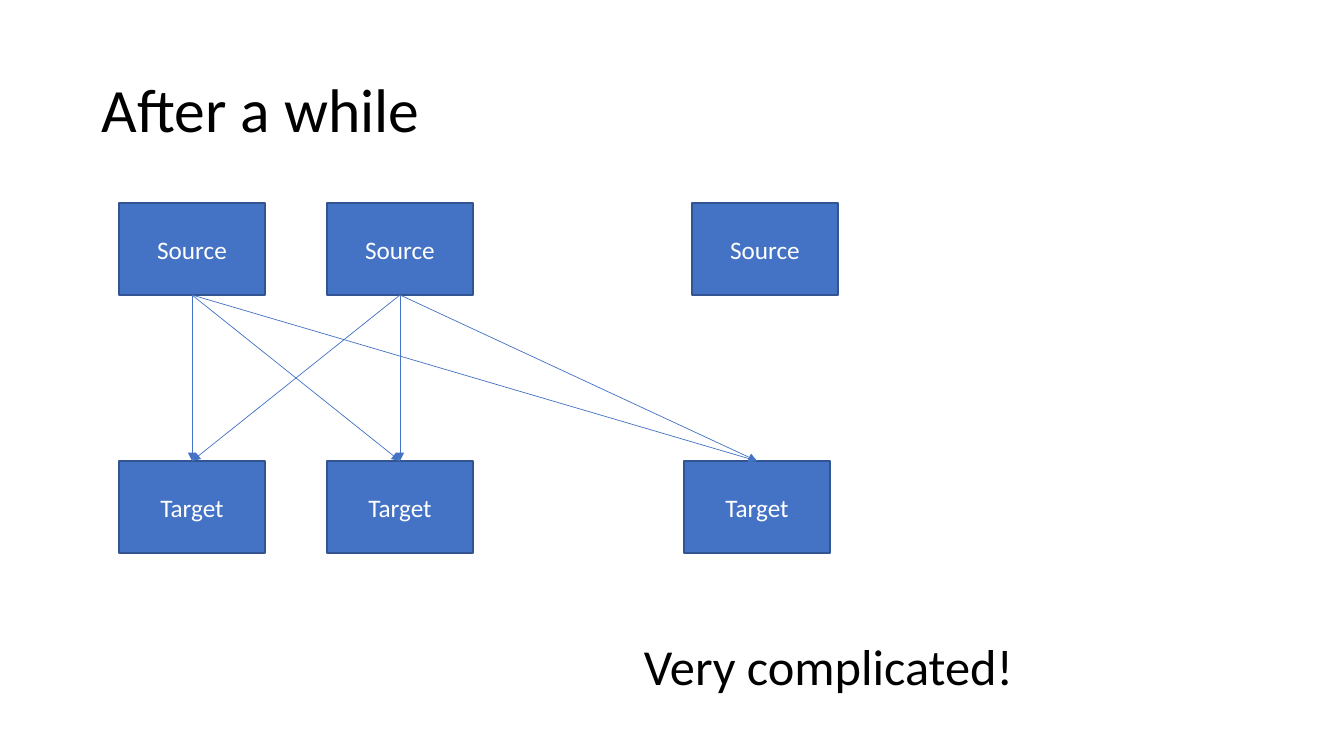
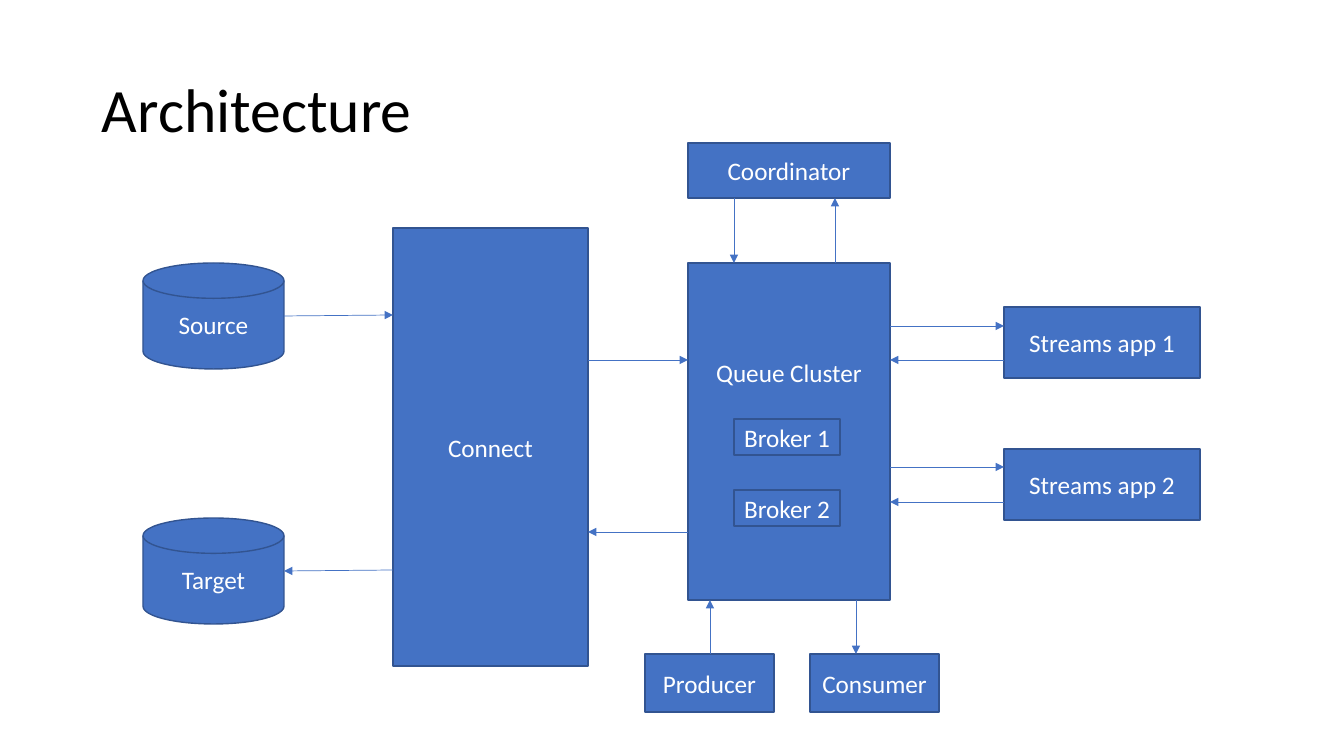
from lxml.etree import SubElement
from pptx import Presentation
from pptx.dml.color import RGBColor
from pptx.enum.shapes import MSO_CONNECTOR, MSO_SHAPE
from pptx.enum.text import MSO_ANCHOR, PP_ALIGN
from pptx.oxml.ns import qn
from pptx.util import Emu, Pt

# Shared style
SLIDE_WIDTH, SLIDE_HEIGHT = 1344, 756
SCALE = 914400 / 100.8
FONT = "Calibri"
BLUE, DARK_BLUE, WHITE, BLACK = "4472C4", "325491", "FFFFFF", "000000"
TITLE_AREA = (92, 40, 1159, 146)

# Slide 1: a row of sources above a row of targets
MESH_TITLE = "After a while"
MESH_NOTE = ("Very complicated!", (634, 630, 448, 72))
MESH_BOX = (146, 92)
SOURCE_TOP, TARGET_TOP = 203, 461
SOURCE_LEFTS = [119, 327, 692]
TARGET_LEFTS = [119, 327, 684]
CONNECTED_SOURCES = 2

# Slide 2: label -> left, top, width, height
ARCHITECTURE_TITLE = "Architecture"
STORES = {
    "Source": (143, 263, 141, 106),
    "Target": (143, 518, 141, 106),
}
CLUSTER = "Queue Cluster"
CLUSTER_BOTTOM_INSET = 123
BLOCKS = {
    "Connect": (393, 228, 195, 438),
    CLUSTER: (688, 263, 202, 337),
    "Coordinator": (688, 143, 202, 55),
    "Streams app 1": (1004, 307, 196, 71),
    "Streams app 2": (1004, 449, 196, 71),
    "Producer": (645, 654, 129, 58),
    "Consumer": (810, 654, 129, 58),
    "Broker 1": (734, 419, 106, 36),
    "Broker 2": (734, 490, 106, 36),
}
# From, to, y at start, y at end
SIDEWAYS_ARROWS = [
    ("Source", "Connect", 316, 315),
    ("Connect", "Target", 570, 571),
    ("Connect", CLUSTER, 360, 360),
    (CLUSTER, "Connect", 532, 532),
    (CLUSTER, "Streams app 1", 326, 326),
    ("Streams app 1", CLUSTER, 360, 360),
    (CLUSTER, "Streams app 2", 467, 467),
    ("Streams app 2", CLUSTER, 502, 502),
]
# From, to, x
UPRIGHT_ARROWS = [
    ("Coordinator", CLUSTER, 734),
    (CLUSTER, "Coordinator", 835),
    ("Producer", CLUSTER, 710),
    (CLUSTER, "Consumer", 856),
]


def px(value):
    return Emu(round(value * SCALE))


def color(hex_string):
    return RGBColor.from_string(hex_string)


def format_text(text_frame, text, size, hex_string, alignment):
    text_frame.text = text
    paragraph = text_frame.paragraphs[0]
    paragraph.alignment = alignment
    font = paragraph.runs[0].font
    font.name, font.size = FONT, Pt(size)
    font.color.rgb = color(hex_string)
    return paragraph


def add_text(slide, text, area, size):
    text_frame = slide.shapes.add_textbox(*map(px, area)).text_frame
    text_frame.word_wrap = True
    format_text(text_frame, text, size, BLACK, PP_ALIGN.LEFT)
    return text_frame


def add_titled_slide(title):
    slide = presentation.slides.add_slide(presentation.slide_layouts[6])
    text_frame = add_text(slide, title, TITLE_AREA, 44)
    text_frame.vertical_anchor = MSO_ANCHOR.MIDDLE
    text_frame.paragraphs[0].line_spacing = 0.9
    return slide


def add_block(slide, label, area, preset=MSO_SHAPE.RECTANGLE):
    shape = slide.shapes.add_shape(preset, *map(px, area))
    shape.shadow.inherit = False
    shape.fill.solid()
    shape.fill.fore_color.rgb = color(BLUE)
    shape.line.color.rgb = color(DARK_BLUE)
    shape.line.width = Pt(1)
    text_frame = shape.text_frame
    text_frame.margin_left = text_frame.margin_right = 0
    text_frame.vertical_anchor = MSO_ANCHOR.MIDDLE
    format_text(text_frame, label, 18, WHITE, PP_ALIGN.CENTER)
    return shape


def add_arrow(slide, start, end):
    connector = slide.shapes.add_connector(
        MSO_CONNECTOR.STRAIGHT, *map(px, start + end))
    connector.line.color.rgb = color(BLUE)
    connector.line.width = Pt(0.5)
    SubElement(connector.line._get_or_add_ln(), qn("a:tailEnd"), type="triangle")
    SubElement(connector._element.spPr, qn("a:effectLst"))


def facing_edges(start, start_size, end, end_size):
    """Give the edges of two spans that face each other along one axis."""
    if start < end:
        return start + start_size, end
    return start, end + end_size


presentation = Presentation()
presentation.slide_width = px(SLIDE_WIDTH)
presentation.slide_height = px(SLIDE_HEIGHT)

# Slide 1
slide = add_titled_slide(MESH_TITLE)
for label, lefts, top in (("Source", SOURCE_LEFTS, SOURCE_TOP),
                          ("Target", TARGET_LEFTS, TARGET_TOP)):
    for left in lefts:
        add_block(slide, label, (left, top, *MESH_BOX))
box_width, box_height = MESH_BOX
for source_left in SOURCE_LEFTS[:CONNECTED_SOURCES]:
    for target_left in TARGET_LEFTS:
        add_arrow(slide,
                  (source_left + box_width / 2, SOURCE_TOP + box_height),
                  (target_left + box_width / 2, TARGET_TOP))
add_text(slide, *MESH_NOTE, 36)

# Slide 2
slide = add_titled_slide(ARCHITECTURE_TITLE)
for label, area in STORES.items():
    add_block(slide, label, area, MSO_SHAPE.FLOWCHART_MAGNETIC_DISK)
for label, area in BLOCKS.items():
    block = add_block(slide, label, area)
    if label == CLUSTER:
        block.text_frame.margin_bottom = px(CLUSTER_BOTTOM_INSET)

areas = {**STORES, **BLOCKS}
for origin, goal, start_y, end_y in SIDEWAYS_ARROWS:
    start_x, end_x = facing_edges(*areas[origin][::2], *areas[goal][::2])
    add_arrow(slide, (start_x, start_y), (end_x, end_y))
for origin, goal, x in UPRIGHT_ARROWS:
    start_y, end_y = facing_edges(*areas[origin][1::2], *areas[goal][1::2])
    add_arrow(slide, (x, start_y), (x, end_y))

presentation.save("out.pptx")
